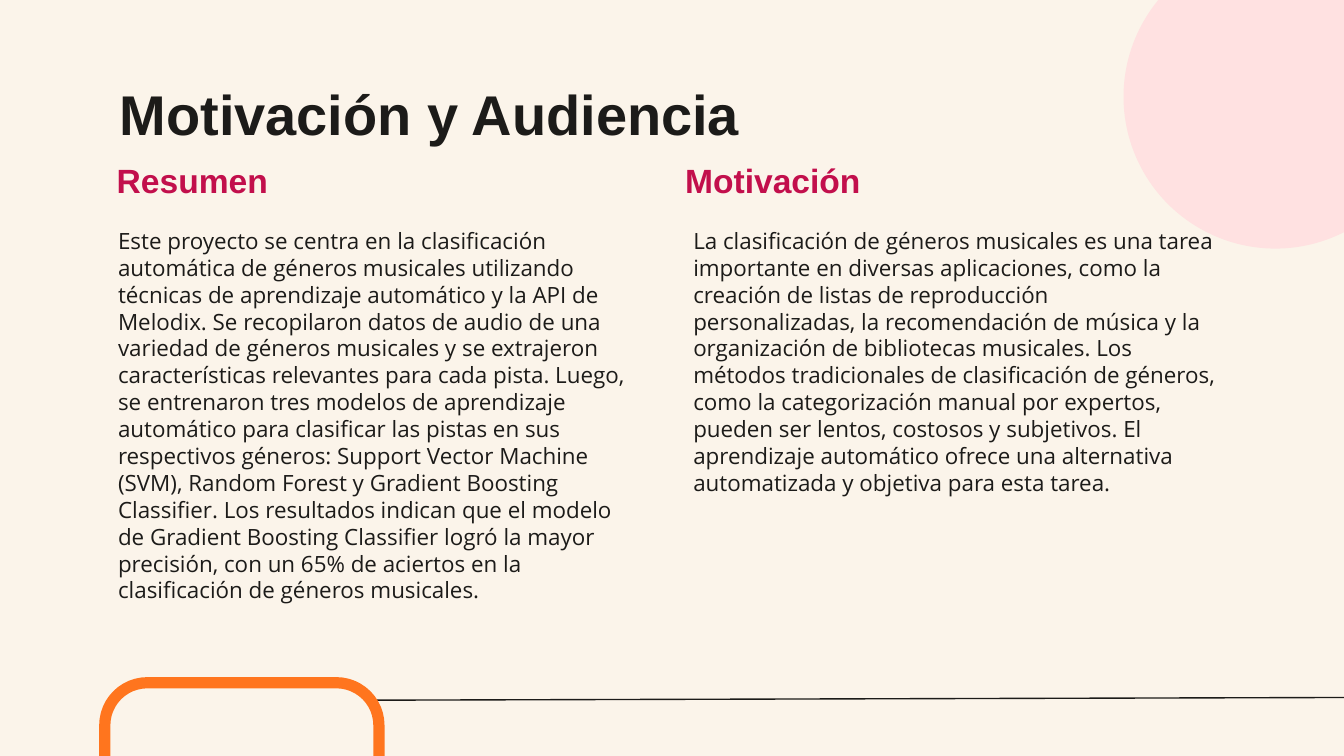
from pptx import Presentation
from pptx.dml.color import RGBColor
from pptx.enum.shapes import MSO_CONNECTOR, MSO_SHAPE
from pptx.enum.text import MSO_ANCHOR, MSO_AUTO_SIZE, PP_ALIGN
from pptx.oxml.ns import qn
from pptx.util import Inches, Pt
from lxml import etree

CREAM = RGBColor(0xFB, 0xF4, 0xEA)
INK = RGBColor(0x1C, 0x1B, 0x19)
CRIMSON = RGBColor(0xC2, 0x0F, 0x4C)
PINK = RGBColor(0xFF, 0xE1, 0xE1)
ORANGE = RGBColor(0xFF, 0x75, 0x1E)

TITLE_FONT = {"name": "Arial", "size": Pt(30), "bold": True}
HEADING_FONT = {"name": "Arial", "size": Pt(18), "bold": True}
BODY_FONT = {"name": "Open Sans", "size": Pt(12), "bold": False}

SUMMARY = (
    "Este proyecto se centra en la clasificación automática de géneros musicales "
    "utilizando técnicas de aprendizaje automático y la API de Melodix. Se recopilaron "
    "datos de audio de una variedad de géneros musicales y se extrajeron características "
    "relevantes para cada pista. Luego, se entrenaron tres modelos de aprendizaje "
    "automático para clasificar las pistas en sus respectivos géneros: Support Vector "
    "Machine (SVM), Random Forest y Gradient Boosting Classifier. Los resultados indican "
    "que el modelo de Gradient Boosting Classifier logró la mayor precisión, con un 65% "
    "de aciertos en la clasificación de géneros musicales."
)
MOTIVATION = (
    "La clasificación de géneros musicales es una tarea importante en diversas "
    "aplicaciones, como la creación de listas de reproducción personalizadas, la "
    "recomendación de música y la organización de bibliotecas musicales. Los métodos "
    "tradicionales de clasificación de géneros, como la categorización manual por "
    "expertos, pueden ser lentos, costosos y subjetivos. El aprendizaje automático "
    "ofrece una alternativa automatizada y objetiva para esta tarea."
)


def write_text(box, text, font, color, anchor=MSO_ANCHOR.TOP):
    frame = box.text_frame
    frame.word_wrap = True
    frame.auto_size = MSO_AUTO_SIZE.NONE
    frame.vertical_anchor = anchor
    for side in ("left", "top", "right", "bottom"):
        setattr(frame, f"margin_{side}", Inches(0.1))
    para = frame.paragraphs[0]
    para.alignment = PP_ALIGN.LEFT
    para.line_spacing = 1.0
    para.space_before = Pt(0)
    span = para.add_run()
    span.text = text
    for name, value in font.items():
        setattr(span.font, name, value)
    span.font.color.rgb = color


deck = Presentation()
deck.slide_width = Inches(10)
deck.slide_height = deck.slide_width * 9 // 16
page = deck.slides.add_slide(deck.slide_layouts[5])
page.background.fill.solid()
page.background.fill.fore_color.rgb = CREAM

# Footer rule
rule = page.shapes.add_connector(
    MSO_CONNECTOR.STRAIGHT, Inches(2.78), Inches(5.21), Inches(10), Inches(5.19))
rule.line.color.rgb = INK
rule.line.width = Pt(0.75)
etree.SubElement(rule._element.spPr, qn("a:effectLst"))

# Title
title = page.shapes.title
title.left, title.top = Inches(0.79), Inches(0.49)
title.width, title.height = Inches(8.43), Inches(0.63)
write_text(title, "Motivación y Audiencia", TITLE_FONT, INK)

# Two columns, each with a heading over its body
columns = [
    ("Resumen", 0.77, SUMMARY, 0.78, 3.37),
    ("Motivación", 5, MOTIVATION, 5.06, 1.26),
]
for heading, heading_left, body, body_left, body_height in columns:
    heading_box = page.shapes.add_textbox(
        Inches(heading_left), Inches(1.06), Inches(4.1), Inches(0.53))
    write_text(heading_box, heading, HEADING_FONT, CRIMSON, MSO_ANCHOR.BOTTOM)
    body_box = page.shapes.add_textbox(
        Inches(body_left), Inches(1.59), Inches(4.09), Inches(body_height))
    write_text(body_box, body, BODY_FONT, INK)

# Corner decorations
circle = page.shapes.add_shape(
    MSO_SHAPE.OVAL, Inches(8.36), Inches(-0.41), Inches(2.26), Inches(2.26))
circle.shadow.inherit = False
circle.fill.solid()
circle.fill.fore_color.rgb = PINK
circle.line.fill.background()

tab = page.shapes.add_shape(
    MSO_SHAPE.ROUND_2_SAME_RECTANGLE,
    Inches(0.78), Inches(5.08), Inches(2.04), Inches(1.01))
tab.shadow.inherit = False
tab.adjustments[0] = 0.314
tab.adjustments[1] = 0
tab.fill.background()
tab.line.color.rgb = ORANGE
tab.line.width = Pt(6)

deck.save("out.pptx")
